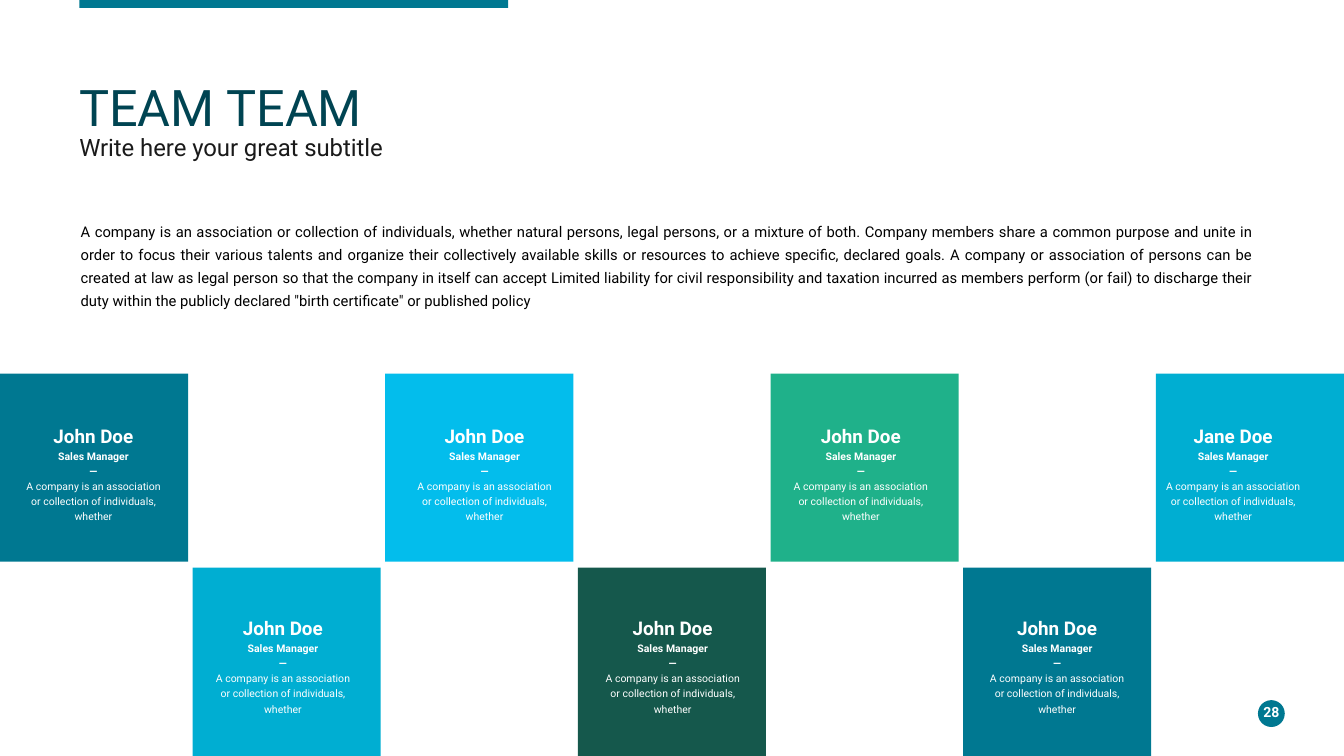
from pptx import Presentation
from pptx.dml.color import RGBColor
from pptx.enum.shapes import MSO_SHAPE
from pptx.enum.text import MSO_ANCHOR, PP_ALIGN
from pptx.util import Inches, Pt

TEAL, CYAN, SKY = "007891", "00AED2", "03BDEC"
MINT, FOREST, WHITE = "1FB18A", "15584C", "FFFFFF"

SLIDE_WIDTH = 10
SLIDE_HEIGHT = SLIDE_WIDTH * 9 / 16
CARD_SIZE = 1.4
CARD_PITCH = (SLIDE_WIDTH - CARD_SIZE) / 6
CARD_TOPS = (2.78, SLIDE_HEIGHT - CARD_SIZE)
MEMBER_TOPS = (3.08, 4.51)

MEMBERS = [
    ("John Doe", TEAL, 0.07),
    ("John Doe", CYAN, 1.48),
    ("John Doe", SKY, 2.98),
    ("John Doe", FOREST, 4.38),
    ("John Doe", MINT, 5.78),
    ("John Doe", TEAL, 7.24),
    ("Jane Doe", CYAN, 8.55),
]

DESCRIPTION = (
    "A company is an association or collection of individuals, whether natural persons, "
    "legal persons, or a mixture of both. Company members share a common purpose and unite "
    "in order to focus their various talents and organize their collectively available "
    "skills or resources to achieve specific, declared goals. A company or association of "
    "persons can be created at law as legal person so that the company in itself can accept "
    "Limited liability for civil responsibility and taxation incurred as members perform "
    "(or fail) to discharge their duty within the publicly declared \"birth certificate\" "
    "or published policy"
)


def color(value):
    return RGBColor.from_string(value)


class SlideBuilder:
    font_name = "Roboto"

    def __init__(self, slide):
        self.slide = slide

    def shape(self, kind, left, top, width, height, fill):
        shape = self.slide.shapes.add_shape(
            kind, Inches(left), Inches(top), Inches(width), Inches(height))
        shape.shadow.inherit = False
        shape.fill.solid()
        shape.fill.fore_color.rgb = color(fill)
        shape.line.fill.background()

    def text(self, left, top, width, height, lines, fill, align=PP_ALIGN.LEFT,
             spacing=1.0, anchor=MSO_ANCHOR.TOP, margins=(0, 0)):
        box = self.slide.shapes.add_textbox(
            Inches(left), Inches(top), Inches(width), Inches(height))
        frame = box.text_frame
        frame.word_wrap = True
        frame.vertical_anchor = anchor
        frame.margin_left = frame.margin_right = Inches(margins[0])
        frame.margin_top = frame.margin_bottom = Inches(margins[1])
        for index, (content, size, bold) in enumerate(lines):
            paragraph = frame.add_paragraph() if index else frame.paragraphs[0]
            paragraph.alignment = align
            paragraph.line_spacing = spacing
            run = paragraph.add_run()
            run.text = content
            run.font.name = self.font_name
            run.font.size = Pt(size)
            run.font.bold = bold
            run.font.color.rgb = color(fill)

    def card(self, left, top, fill):
        self.shape(MSO_SHAPE.RECTANGLE, left, top, CARD_SIZE, CARD_SIZE, fill)

    def member(self, left, top, name):
        lines = [
            (name, 10.1, True),
            ("Sales Manager", 5.6, True),
            ("—", 5.6, True),
            ("A company is an association or collection of individuals, whether", 5.6, False),
        ]
        self.text(left, top, 1.25, 0.87, lines, WHITE, PP_ALIGN.CENTER, 1.2,
                  margins=(0.1, 0.05))


def main():
    presentation = Presentation()
    presentation.slide_width = Inches(SLIDE_WIDTH)
    presentation.slide_height = Inches(SLIDE_HEIGHT)
    builder = SlideBuilder(presentation.slides.add_slide(presentation.slide_layouts[6]))

    builder.shape(MSO_SHAPE.RECTANGLE, 0.59, 0, 3.19, 0.06, TEAL)
    builder.text(0.59, 0.62, 8.73, 0.45, [("TEAM TEAM", 27, False)], "004452", spacing=0.9)
    builder.text(0.59, 1.01, 3.22, 0.16, [("Write here your great subtitle", 12.75, False)],
                 "1A1A1A", spacing=0.9)
    builder.text(0.6, 1.62, 8.72, 0.69, [(DESCRIPTION, 7.9, False)], "000000",
                 PP_ALIGN.JUSTIFY, 1.3)

    for index, (name, fill, text_left) in enumerate(MEMBERS):
        row = index % 2
        builder.card(index * CARD_PITCH, CARD_TOPS[row], fill)
        builder.member(text_left, MEMBER_TOPS[row], name)

    builder.shape(MSO_SHAPE.OVAL, 9.36, 5.21, 0.2, 0.2, TEAL)
    builder.text(9.31, 5.22, 0.3, 0.16, [("28", 7.5, True)], WHITE, PP_ALIGN.CENTER,
                 anchor=MSO_ANCHOR.MIDDLE)

    presentation.save("out.pptx")


if __name__ == "__main__":
    main()
